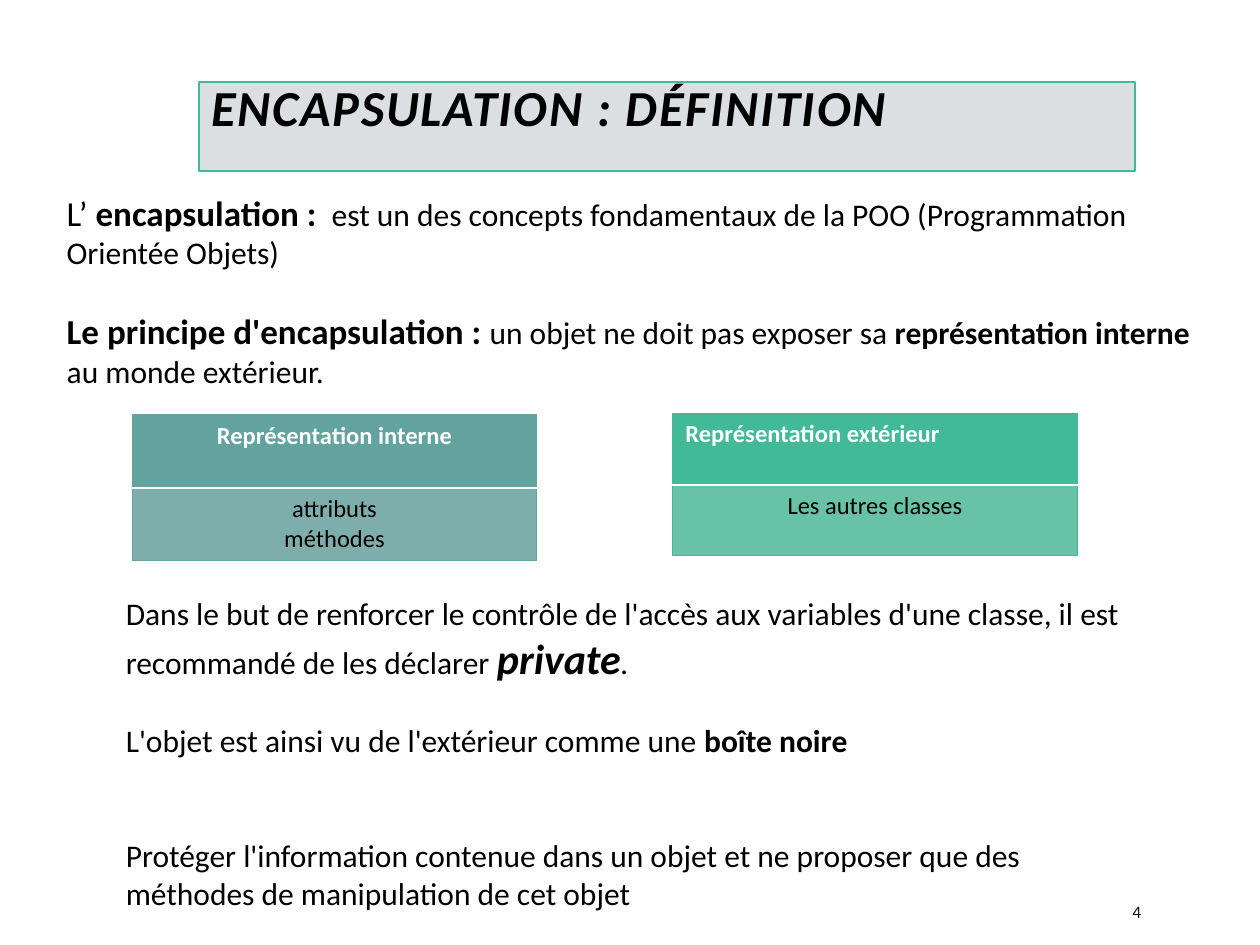
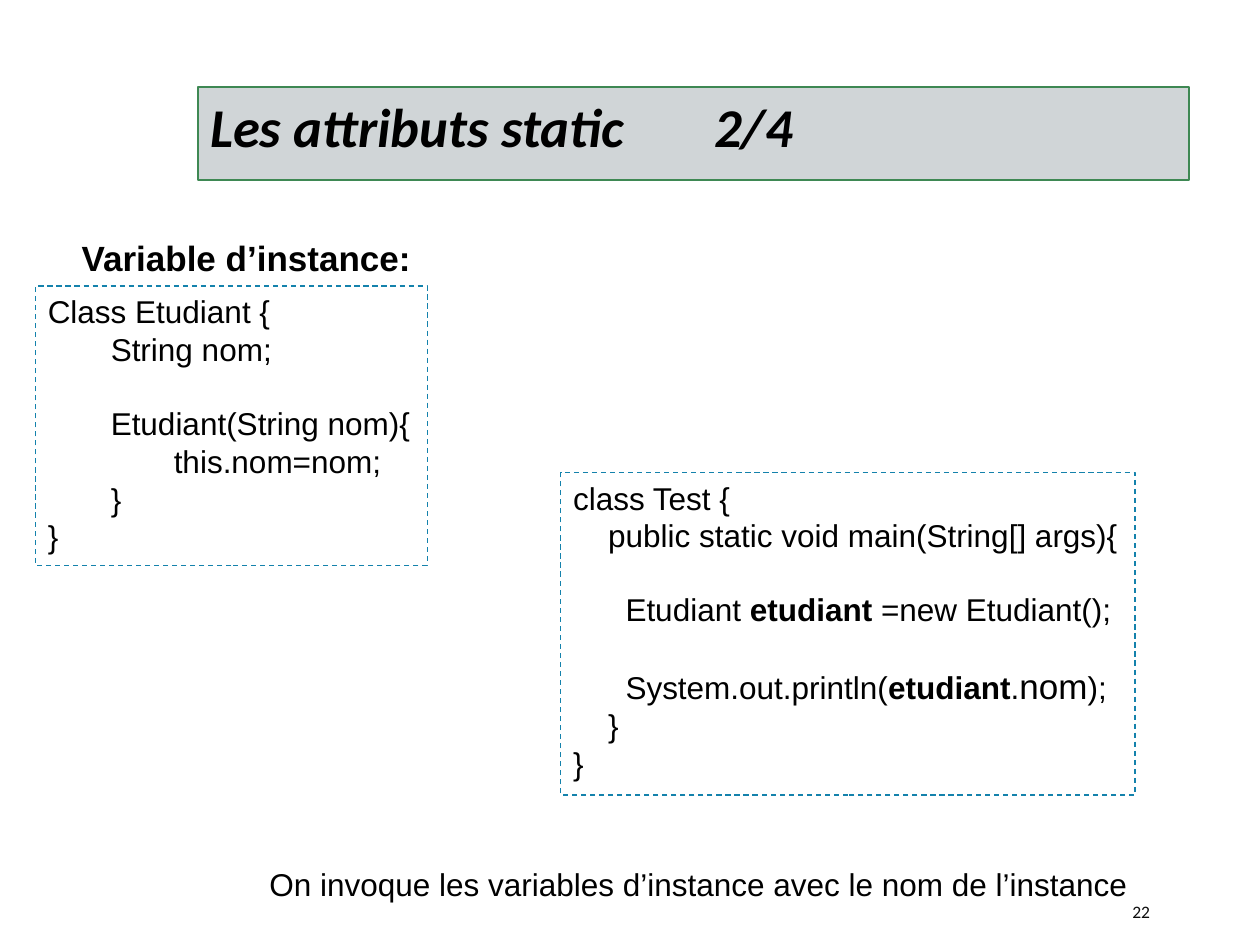
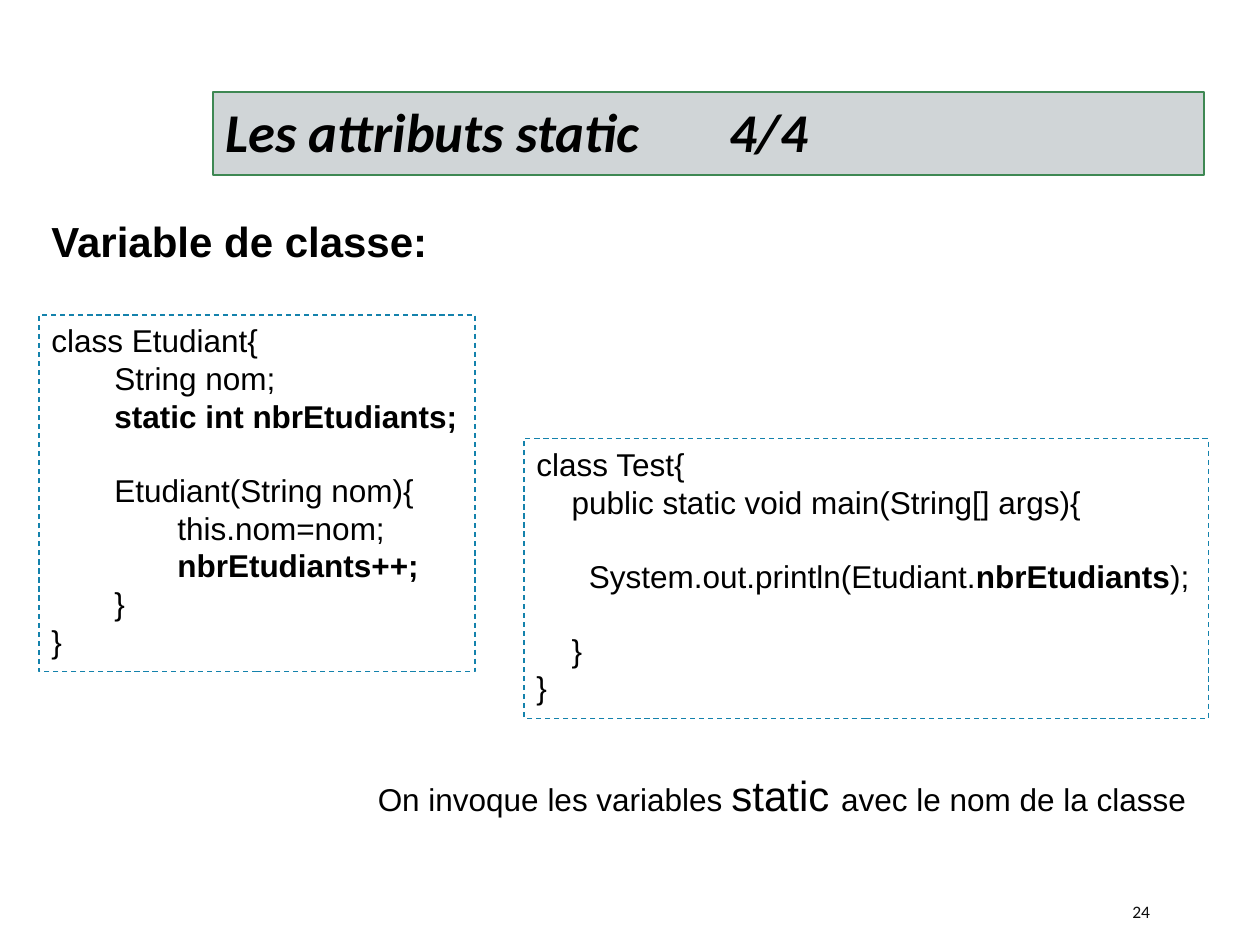
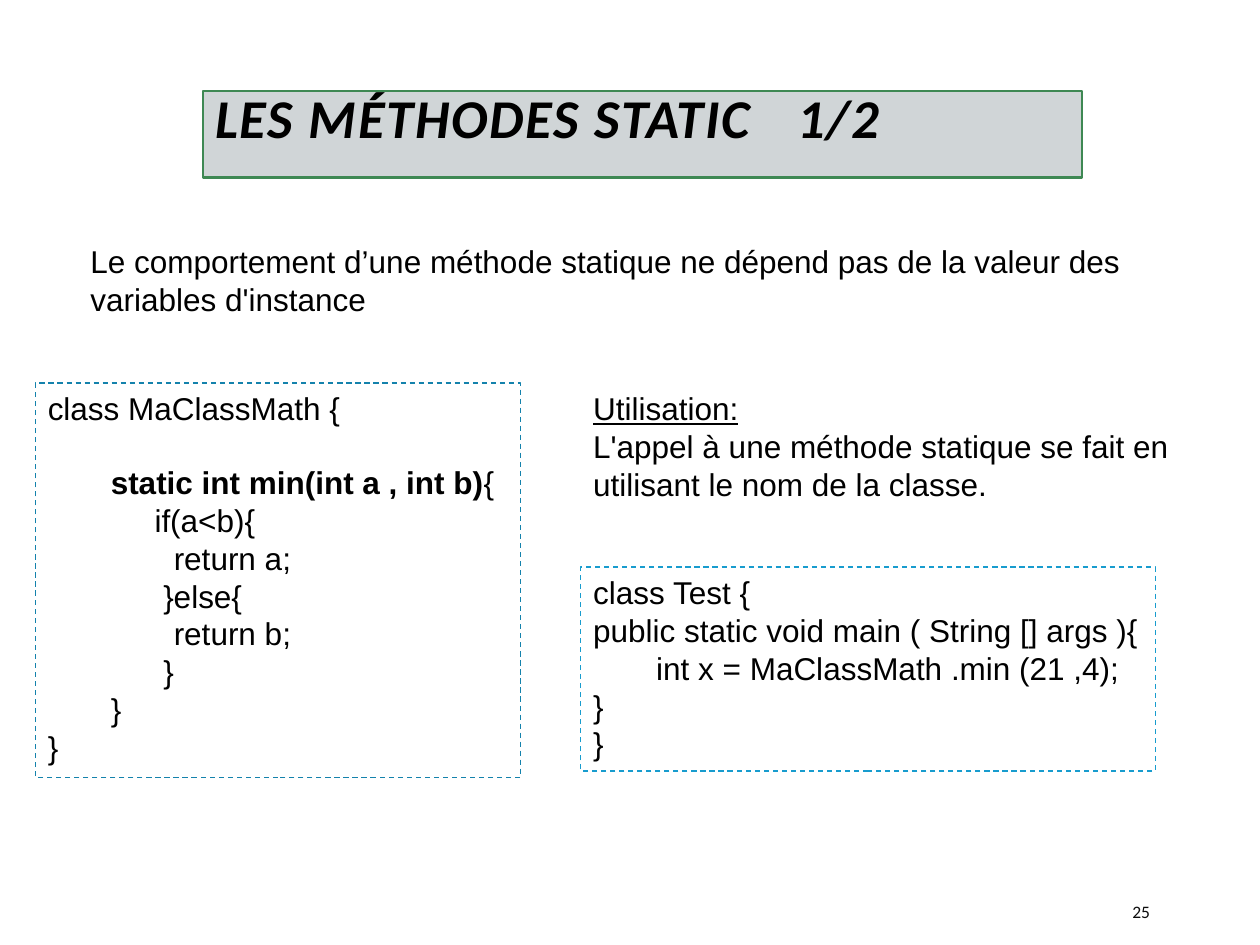
import pptx
import pptx.dml.color
import pptx.enum.dml
import pptx.enum.shapes
import pptx.enum.text
import pptx.oxml
import pptx.oxml.ns
import pptx.util

Pt = pptx.util.Pt
ALIGN = pptx.enum.text.PP_ALIGN
ANCHOR = pptx.enum.text.MSO_ANCHOR

BLACK, WHITE, NUMBER_GREY = "000000", "FFFFFF", "0D0D0D"
TEAL, GREEN, CODE_BLUE = "62A39F", "42BA97", "1482AC"
SLATE, FOREST = "65757D", "3E8853"
HEADING_FONT, CODE_FONT = "Calibri", "Arial"
TAB = 36
CODE_BLANK = 20.7
BODY_BLANK = 22
BOLD = {"bold": True}


def color(hex_value):
    """Turn a hex string into a colour."""
    return pptx.dml.color.RGBColor.from_string(hex_value)


def line(*runs, indent=0, before=0):
    """Describe one paragraph: its runs, left indent and space before."""
    return {"runs": runs, "indent": indent, "before": before}


def format_run(run, font, size, hex_value=BLACK, bold=False, italic=False, underline=False):
    """Apply the character format to a run."""
    run.font.name = font
    run.font.size = Pt(size)
    run.font.color.rgb = color(hex_value)
    run.font.bold = bold
    run.font.italic = italic
    run.font.underline = underline


def write_lines(text_frame, lines, font, size, **style):
    """Fill a text frame with described paragraphs."""
    for index, item in enumerate(lines):
        paragraph = text_frame.add_paragraph() if index else text_frame.paragraphs[0]
        paragraph.alignment = ALIGN.LEFT
        paragraph.space_before = Pt(item["before"])
        if item["indent"]:
            paragraph._p.get_or_add_pPr().set("marL", str(Pt(item["indent"])))
        for part in item["runs"]:
            text, changes = (part, {}) if isinstance(part, str) else part
            run = paragraph.add_run()
            run.text = text
            format_run(run, font, **{"size": size, **style, **changes})


def add_text(slide, box, lines, font=CODE_FONT, size=18, **style):
    """Add a wrapping text box."""
    shape = slide.shapes.add_textbox(*map(Pt, box))
    shape.text_frame.word_wrap = True
    write_lines(shape.text_frame, lines, font, size, **style)
    return shape


def add_rectangle(slide, box, outline, width):
    """Add an unfilled rectangle whose text starts at the top left."""
    shape = slide.shapes.add_shape(pptx.enum.shapes.MSO_SHAPE.RECTANGLE, *map(Pt, box))
    shape.shadow.inherit = False
    shape.fill.background()
    shape.line.color.rgb = color(outline)
    shape.line.width = Pt(width)
    shape.text_frame.word_wrap = True
    shape.text_frame.vertical_anchor = ANCHOR.TOP
    return shape


def add_code(slide, box, lines, outline=CODE_BLUE):
    """Add a dashed box holding source code."""
    shape = add_rectangle(slide, box, outline, 0.75)
    shape.line.dash_style = pptx.enum.dml.MSO_LINE.DASH
    shape.text_frame.margin_right = 0
    write_lines(shape.text_frame, lines, CODE_FONT, 18)


def add_title(slide, box, text, size=31.2, fill=SLATE, opacity=30, outline=FOREST,
              spaced=False, tab_stop=None):
    """Add the translucent title band."""
    shape = add_rectangle(slide, box, outline, 1.25)
    shape.fill.solid()
    shape.fill.fore_color.rgb = color(fill)
    fill_color = shape._element.spPr.find(".//" + pptx.oxml.ns.qn("a:srgbClr"))
    fill_color.append(pptx.oxml.parse_xml(
        f'<a:alpha {pptx.oxml.ns.nsdecls("a")} val="{opacity * 1000}"/>'))
    write_lines(shape.text_frame, [line(text)], HEADING_FONT, size, bold=True, italic=True)
    paragraph = shape.text_frame.paragraphs[0]
    if spaced:
        paragraph.line_spacing = 0.8
        paragraph.runs[0]._r.get_or_add_rPr().set("spc", "100")
    if tab_stop:
        paragraph._p.get_or_add_pPr().append(pptx.oxml.parse_xml(
            f'<a:tabLst {pptx.oxml.ns.nsdecls("a")}>'
            f'<a:tab pos="{Pt(tab_stop)}" algn="l"/></a:tabLst>'))


def add_slide(presentation, number):
    """Add a blank slide with its number."""
    slide = presentation.slides.add_slide(presentation.slide_layouts[6])
    shape = add_text(slide, (640, 509.8, 57.6, 21.6), [line(str(number))],
                     HEADING_FONT, 10, hex_value=NUMBER_GREY)
    shape.text_frame.vertical_anchor = ANCHOR.MIDDLE
    return slide


def set_borders(cell, **borders):
    """Draw cell borders given as side=(colour, width)."""
    properties = cell._tc.get_or_add_tcPr()
    for side in "LRTB":
        hex_value, width = borders[side]
        properties.append(pptx.oxml.parse_xml(
            f'<a:ln{side} {pptx.oxml.ns.nsdecls("a")} w="{Pt(width)}"><a:solidFill>'
            f'<a:srgbClr val="{hex_value}"/></a:solidFill></a:ln{side}>'))


def add_concept_table(slide, box, heading, content, accent, tint, heading_align):
    """Add a two-row table with a heading above its content."""
    table = slide.shapes.add_table(2, 1, *map(Pt, box)).table
    table.first_row = table.horz_banding = False
    edge, divider = (accent, 0.75), (WHITE, 1.25)
    rows = [
        (heading, accent, WHITE, True, heading_align, edge, divider),
        (content, tint, BLACK, False, ALIGN.CENTER, divider, edge),
    ]
    for index, (text, fill, ink, bold, align, top, bottom) in enumerate(rows):
        table.rows[index].height = Pt(box[3] / 2)
        cell = table.cell(index, 0)
        set_borders(cell, L=edge, R=edge, T=top, B=bottom)
        cell.fill.solid()
        cell.fill.fore_color.rgb = color(fill)
        cell.text_frame.text = text
        for paragraph in cell.text_frame.paragraphs:
            paragraph.alignment = align
            format_run(paragraph.runs[0], HEADING_FONT, 14, ink, bold)


def build_encapsulation(presentation):
    """Build the definition of encapsulation."""
    slide = add_slide(presentation, 4)
    add_title(slide, (113.8, 46.8, 535, 51.1), "ENCAPSULATION : DÉFINITION", size=28.8,
              fill="C6CDD1", opacity=63, outline=GREEN, spaced=True)
    large, large_bold = {"size": 20}, {"size": 20, "bold": True}
    add_text(slide, (31, 105.8, 668.9, 145.4), [
        line(("L’", large), (" encapsulation : ", large_bold),
             " est un des concepts fondamentaux de la POO (Programmation Orientée Objets)"),
        line(("Le principe d'encapsulation : ", large_bold),
             "un objet ne doit pas exposer sa ", ("représentation interne ", BOLD),
             "au monde extérieur.", before=BODY_BLANK),
    ], HEADING_FONT)
    add_text(slide, (64.8, 336.2, 601.2, 189.4), [
        line("Dans le but de renforcer le contrôle de l'accès aux variables d'une classe, "
             "il est recommandé de les déclarer ",
             ("private", {"size": 24, "bold": True, "italic": True}), ("." , {"italic": True})),
        line("L'objet est ainsi vu de l'extérieur comme une ", ("boîte noire", BOLD),
             before=BODY_BLANK),
        line("Protéger l'information contenue dans un objet et ne proposer que "
             "des méthodes de manipulation de cet objet", before=2 * BODY_BLANK),
    ], HEADING_FONT)
    add_concept_table(slide, (75.6, 236.9, 231.1, 83.5), "Représentation interne",
                      "attributs\nméthodes", TEAL, "7DAEAB", ALIGN.CENTER)
    add_concept_table(slide, (384.5, 236.2, 231.1, 81.4), "Représentation extérieur",
                      "Les autres classes", GREEN, "68C2A6", ALIGN.LEFT)


def build_instance_variable(presentation):
    """Build the instance variable example."""
    slide = add_slide(presentation, 22)
    add_title(slide, (113, 49.7, 566.6, 53.3), "Les attributs static \t2/4", tab_stop=288)
    add_text(slide, (39.6, 131.8, 203.8, 31.7), [line("Variable d’instance:")],
             size=20, bold=True)
    add_code(slide, (20.2, 163.4, 223.9, 159.8), [
        line("Class Etudiant {"),
        line("String nom;", indent=TAB),
        line("Etudiant(String nom){", indent=TAB, before=CODE_BLANK),
        line("this.nom=nom;", indent=2 * TAB),
        line("}", indent=TAB),
        line("}"),
    ])
    add_code(slide, (320.4, 270, 328.3, 184.3), [
        line("class Test {"),
        line("public static void main(String[] args){", indent=20),
        line("Etudiant ", ("etudiant", BOLD), " =new Etudiant();",
             indent=30, before=CODE_BLANK),
        line("System.out.println(", ("etudiant", BOLD), ".", ("nom", {"size": 20}), ");",
             indent=30, before=CODE_BLANK),
        line("}", indent=20),
        line("}"),
    ])
    add_text(slide, (110.9, 491, 624.2, 28.8), [
        line("On invoque les variables d’instance avec le nom de l’instance", indent=TAB)])


def build_class_variable(presentation):
    """Build the class variable example."""
    slide = add_slide(presentation, 24)
    add_title(slide, (121.7, 52.6, 566.6, 47.5), "Les attributs static \t4/4", tab_stop=288)
    add_text(slide, (22.3, 119.5, 231.1, 36), [line("Variable de classe:")],
             size=24, bold=True)
    add_text(slide, (172.8, 436.3, 624.2, 36), [
        line("On invoque les variables ", ("static ", {"size": 24}),
             "avec le nom de la classe", indent=TAB)])
    add_code(slide, (22.3, 180, 249.1, 203.8), [
        line("class Etudiant{"),
        line("String nom;", indent=TAB),
        line(("static int nbrEtudiants;", BOLD), indent=TAB),
        line("Etudiant(String nom){", indent=TAB, before=CODE_BLANK),
        line("this.nom=nom;", indent=2 * TAB),
        line(("nbrEtudiants++;", BOLD), indent=2 * TAB),
        line("}", indent=TAB),
        line("}"),
    ])
    add_code(slide, (299.5, 250.6, 391, 159.8), [
        line("class Test{"),
        line("public static void main(String[] args){", indent=20),
        line("System.out.println(Etudiant.", ("nbrEtudiants", BOLD), ");",
             indent=30, before=CODE_BLANK),
        line("}", indent=20, before=CODE_BLANK),
        line("}"),
    ])


def build_static_methods(presentation):
    """Build the static method example."""
    slide = add_slide(presentation, 25)
    add_title(slide, (115.9, 51.8, 502.6, 49.7), "LES MÉTHODES STATIC\t1/2",
              spaced=True, tab_stop=332.6)
    add_text(slide, (44.6, 134.6, 613.4, 51.1), [
        line("Le comportement d’une méthode statique ne dépend pas de la valeur des "
             "variables d'instance")])
    add_code(slide, (20.2, 218.9, 277.2, 225.4), [
        line("class MaClassMath {"),
        line(("static int min(int a , int b)", BOLD), "{", indent=TAB, before=CODE_BLANK),
        line("if(a<b){", indent=61),
        line("return a;", indent=2 * TAB),
        line("}else{", indent=66),
        line("return b;", indent=2 * TAB),
        line("}", indent=66),
        line("}", indent=TAB),
        line("}"),
    ])
    add_code(slide, (331.9, 324, 328.3, 116.6), [
        line("class Test {"),
        line("public static void main ( String [] args ){"),
        line("int x = MaClassMath .min (21 ,4);", indent=TAB),
        line("}"),
        line("}"),
    ], outline="189CCE")
    add_text(slide, (331.9, 218.9, 360, 72.7), [
        line(("Utilisation:", {"underline": True})),
        line("L'appel à une méthode statique se fait en"),
        line("utilisant le nom de la classe."),
    ])


def main():
    """Build and save the presentation."""
    presentation = pptx.Presentation()
    presentation.slide_width, presentation.slide_height = Pt(720), Pt(540)
    build_encapsulation(presentation)
    build_instance_variable(presentation)
    build_class_variable(presentation)
    build_static_methods(presentation)
    presentation.save("out.pptx")


if __name__ == "__main__":
    main()
